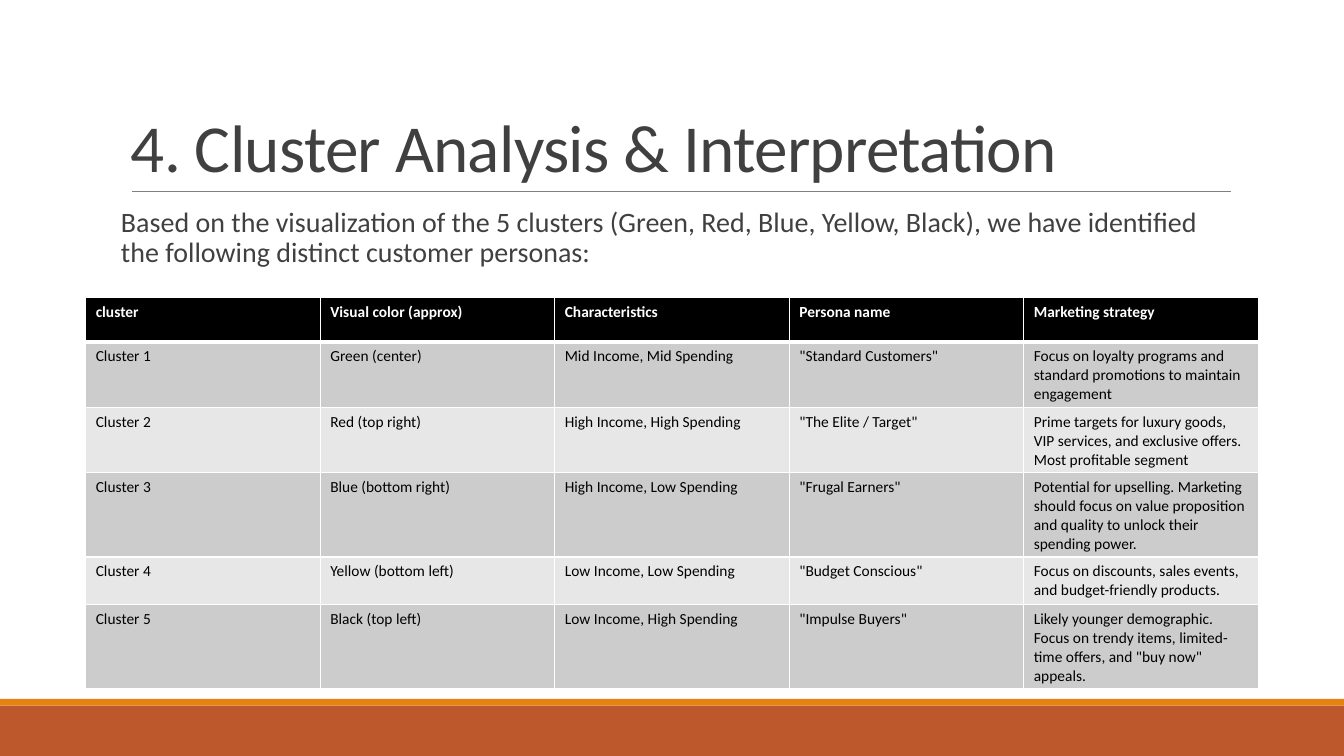
"""Build the cluster analysis slide with its table of customer personas."""
from dataclasses import dataclass

from lxml.etree import SubElement
from pptx import Presentation
from pptx.dml.color import RGBColor
from pptx.enum.shapes import MSO_CONNECTOR, MSO_SHAPE
from pptx.enum.text import MSO_ANCHOR
from pptx.oxml.ns import qn
from pptx.slide import Slide
from pptx.table import _Cell
from pptx.text.text import _Paragraph
from pptx.util import Cm, Pt

WHITE = RGBColor(0xFF, 0xFF, 0xFF)
BLACK = RGBColor(0x00, 0x00, 0x00)
TEXT = RGBColor(0x40, 0x40, 0x40)
RULE = RGBColor(0x80, 0x80, 0x80)
RUST = RGBColor(0xBD, 0x58, 0x2C)
ORANGE = RGBColor(0xE4, 0x83, 0x12)
BAND_DARK = RGBColor(0xCC, 0xCC, 0xCC)
BAND_LIGHT = RGBColor(0xE7, 0xE7, 0xE7)
FONT = "Calibri"
SLIDE_W, SLIDE_H = 33.87, 19.05
COL_W = 5.91


@dataclass
class Bar:
    top: float
    height: float
    color: RGBColor


@dataclass
class TextBlock:
    text: str
    top: float
    height: float
    size: float
    line_spacing: float
    anchor: MSO_ANCHOR = MSO_ANCHOR.TOP
    side_inset: float = 0
    before: float = 0
    after: float = 0
    tracking: float = 0


@dataclass
class Row:
    height: float
    texts: tuple[str, ...]


BARS = [Bar(17.78, 1.27, RUST), Bar(17.61, 0.17, ORANGE)]

BLOCKS = [
    TextBlock("4. Cluster Analysis & Interpretation", 0.79, 4.04, 48, 0.85,
              anchor=MSO_ANCHOR.BOTTOM, side_inset=0.25, tracking=-0.5),
    TextBlock("Based on the visualization of the 5 clusters (Green, Red, Blue, Yellow, Black), "
              "we have identified the following distinct customer personas:",
              5.13, 11.18, 20, 0.9, before=12, after=2),
]

ROWS = [
    Row(1.12, ("cluster", "Visual color (approx)", "Characteristics", "Persona name",
               "Marketing strategy")),
    Row(1.19, ("Cluster 1", "Green (center)", "Mid Income, Mid Spending", '"Standard Customers"',
               "Focus on loyalty programs and standard promotions to maintain engagement")),
    Row(1.55, ("Cluster 2", "Red (top right)", "High Income, High Spending",
               '"The Elite / Target"',
               "Prime targets for luxury goods, VIP services, and exclusive offers. "
               "Most profitable segment")),
    Row(1.88, ("Cluster 3", "Blue (bottom right)", "High Income, Low Spending",
               '"Frugal Earners"',
               "Potential for upselling. Marketing should focus on value proposition "
               "and quality to unlock their spending power.")),
    Row(1.19, ("Cluster 4", "Yellow (bottom left)", "Low Income, Low Spending",
               '"Budget Conscious"',
               "Focus on discounts, sales events, and budget-friendly products.")),
    Row(1.55, ("Cluster 5", "Black (top left)", "Low Income, High Spending", '"Impulse Buyers"',
               "Likely younger demographic. Focus on trendy items, limited-time offers, "
               'and "buy now" appeals.')),
]


def add_run(p: _Paragraph, text: str, size: float, color: RGBColor,
            bold: bool = False, tracking: float = 0) -> None:
    r = p.add_run()
    r.text = text
    r.font.name = FONT
    r.font.size = Pt(size)
    r.font.bold = bold
    r.font.color.rgb = color
    if tracking:
        r.font._element.set("spc", str(round(tracking * 100)))


def add_bar(s: Slide, bar: Bar) -> None:
    sp = s.shapes.add_shape(MSO_SHAPE.RECTANGLE, 0, Cm(bar.top), Cm(SLIDE_W), Cm(bar.height))
    sp.shadow.inherit = False
    sp.fill.solid()
    sp.fill.fore_color.rgb = bar.color
    sp.line.fill.background()


def add_rule(s: Slide) -> None:
    line = s.shapes.add_connector(MSO_CONNECTOR.STRAIGHT, Cm(3.33), Cm(4.83), Cm(31.01), Cm(4.83))
    line.line.color.rgb = RULE
    line.line.width = Pt(0.5)
    SubElement(line._element.spPr, qn("a:effectLst"))


def add_text(s: Slide, block: TextBlock) -> None:
    sp = s.shapes.add_textbox(Cm(3.05), Cm(block.top), Cm(27.94), Cm(block.height))
    tf = sp.text_frame
    tf.word_wrap = True
    tf.vertical_anchor = block.anchor
    tf.margin_left = tf.margin_right = Cm(block.side_inset)
    p = tf.paragraphs[0]
    p.line_spacing = block.line_spacing
    p.space_before = Pt(block.before)
    p.space_after = Pt(block.after)
    add_run(p, block.text, block.size, TEXT, tracking=block.tracking)


def set_borders(cell: _Cell, top: float, bottom: float) -> None:
    tcPr = cell._tc.get_or_add_tcPr()
    for side, width in (("L", 1), ("R", 1), ("T", top), ("B", bottom)):
        ln = SubElement(tcPr, qn(f"a:ln{side}"), w=str(Pt(width)))
        fill = SubElement(ln, qn("a:solidFill"))
        SubElement(fill, qn("a:srgbClr"), val=str(WHITE))


def add_personas(s: Slide, rows: list[Row]) -> None:
    n_cols = len(rows[0].texts)
    height = sum(row.height for row in rows)
    table = s.shapes.add_table(len(rows), n_cols, Cm(2.16), Cm(7.49),
                               Cm(COL_W * n_cols), Cm(height)).table
    for col in table.columns:
        col.width = Cm(COL_W)
    for i, row in enumerate(rows):
        header = i == 0
        band = BLACK if header else BAND_DARK if i % 2 else BAND_LIGHT
        table.rows[i].height = Cm(row.height)
        for j, text in enumerate(row.texts):
            cell = table.cell(i, j)
            set_borders(cell, top=3 if i == 1 else 1, bottom=3 if header else 1)
            cell.fill.solid()
            cell.fill.fore_color.rgb = band
            add_run(cell.text_frame.paragraphs[0], text, 11, WHITE if header else BLACK, header)


def main() -> None:
    prs = Presentation()
    prs.slide_width, prs.slide_height = Cm(SLIDE_W), Cm(SLIDE_H)
    s = prs.slides.add_slide(prs.slide_layouts[6])
    for bar in BARS:
        add_bar(s, bar)
    add_rule(s)
    for block in BLOCKS:
        add_text(s, block)
    add_personas(s, ROWS)
    prs.save("out.pptx")


if __name__ == "__main__":
    main()
